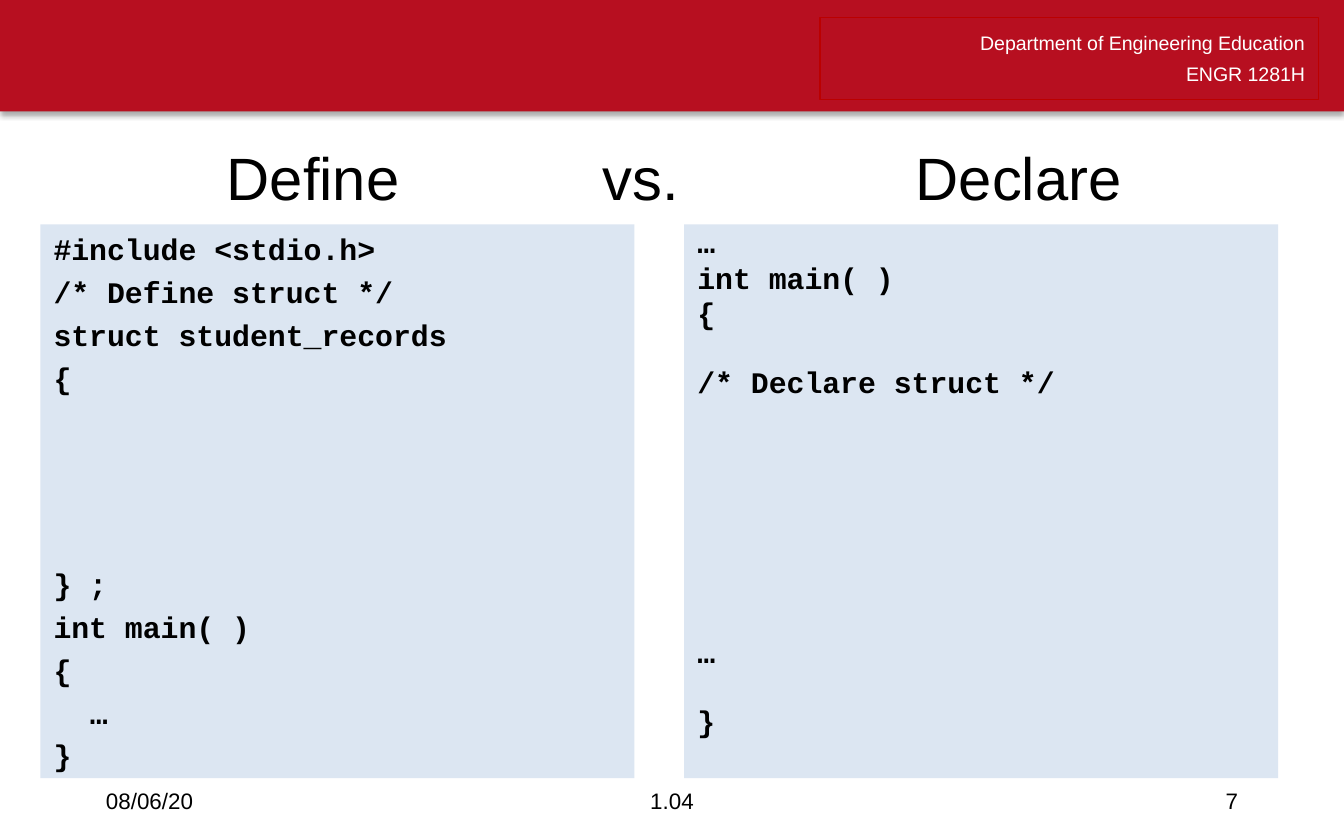
from dataclasses import dataclass

from lxml import etree
from pptx import Presentation
from pptx.dml.color import RGBColor
from pptx.enum.shapes import MSO_SHAPE
from pptx.enum.text import MSO_ANCHOR, MSO_AUTO_SIZE, PP_ALIGN
from pptx.oxml.ns import qn
from pptx.util import Inches, Pt

RECTANGLE = MSO_SHAPE.RECTANGLE
TOP, MIDDLE = MSO_ANCHOR.TOP, MSO_ANCHOR.MIDDLE
LEFT, CENTER, RIGHT = PP_ALIGN.LEFT, PP_ALIGN.CENTER, PP_ALIGN.RIGHT
NO_AUTOFIT = MSO_AUTO_SIZE.NONE
TITLE_ONLY = 5


@dataclass(frozen=True)
class Theme:
    """Colours, fonts and type sizes of the deck."""
    band: RGBColor = RGBColor(0xB7, 0x0F, 0x20)
    frame: RGBColor = RGBColor(0xBB, 0x00, 0x00)
    panel: RGBColor = RGBColor(0xDC, 0xE6, 0xF2)
    ink: RGBColor = RGBColor(0, 0, 0)
    light: RGBColor = RGBColor(0xFF, 0xFF, 0xFF)
    sans: str = "Arial"
    mono: str = "Courier New"
    title: float = 32
    code: float = 16
    footer: float = 12
    header: float = 10.5


THEME = Theme()

DEFINE_CODE = [
    ("#include <stdio.h>", 0, 0),
    ("/* Define struct */", 0, 0),
    ("struct student_records", 0, 0),
    ("{", 0, 0),
    ("} ;", 4, 0),
    ("int main( )", 0, 0),
    ("{", 0, 0),
    ("…", 0, 0.27),
    ("}", 0, 0),
]
DECLARE_CODE = [
    ("…", 0, 0),
    ("int main( )", 0, 0),
    ("{", 0, 0),
    ("/* Declare struct */", 1, 0),
    ("…", 7, 0),
    ("}", 1, 0),
]


def style_text(para, size, color, font=THEME.sans, bold=False):
    """Format every run of a paragraph."""
    for span in para.runs:
        span.font.size = Pt(size)
        span.font.name = font
        span.font.bold = bold
        span.font.color.rgb = color


def prepare_frame(frame, anchor):
    """Make a text frame wrap at a fixed size."""
    frame.word_wrap = True
    frame.auto_size = NO_AUTOFIT
    frame.vertical_anchor = anchor


def add_shadow(shape):
    """Give a shape a soft shadow falling straight down."""
    effects = shape._element.spPr.find(qn("a:effectLst"))
    shadow = etree.SubElement(
        effects, qn("a:outerShdw"), blurRad=str(Pt(3.1)), dist=str(Pt(1.8)),
        dir="5400000", algn="t", rotWithShape="0")
    color = etree.SubElement(shadow, qn("a:srgbClr"), val=str(THEME.ink))
    etree.SubElement(color, qn("a:alpha"), val="35000")


def add_header(page, left, top, width, height):
    """Draw the red band with the framed department lines."""
    band = page.shapes.add_shape(
        RECTANGLE, Inches(left), Inches(top), Inches(width), Inches(height))
    band.shadow.inherit = False
    band.fill.solid()
    band.fill.fore_color.rgb = THEME.band
    band.line.fill.background()
    add_shadow(band)

    box = page.shapes.add_textbox(
        Inches(left + width - 3.9), Inches(top + 0.13), Inches(3.71), Inches(0.61))
    box.line.color.rgb = THEME.frame
    box.line.width = Pt(0.75)
    prepare_frame(box.text_frame, TOP)
    box.text_frame.text = "Department of Engineering Education\nENGR 1281H"
    for para in box.text_frame.paragraphs:
        para.alignment = RIGHT
        para.line_spacing = Pt(16.4)
        style_text(para, THEME.header, THEME.light)


def place_title(page, left, top, width, height):
    """Set the title on three centred tab stops."""
    title = page.shapes.title
    title.left, title.top = Inches(left), Inches(top)
    title.width, title.height = Inches(width), Inches(height)
    prepare_frame(title.text_frame, MIDDLE)
    para = title.text_frame.paragraphs[0]
    para.text = "\tDefine\tvs. \tDeclare"
    para.alignment = LEFT
    style_text(para, THEME.title, THEME.ink)
    stops = etree.SubElement(para._p.get_or_add_pPr(), qn("a:tabLst"))
    for position in (1.75, 4.25, 7):
        etree.SubElement(stops, qn("a:tab"), pos=str(Inches(position)), algn="ctr")


def add_code_panel(page, left, top, width, height, lines, spacing, before, pitch):
    """Draw a code panel; each line has its text, skipped lines and indent."""
    panel = page.shapes.add_textbox(
        Inches(left), Inches(top), Inches(width), Inches(height))
    panel.fill.solid()
    panel.fill.fore_color.rgb = THEME.panel
    frame = panel.text_frame
    prepare_frame(frame, TOP)
    frame.text = "\n".join(text for text, skipped, indent in lines)
    for para, (text, skipped, indent) in zip(frame.paragraphs, lines):
        para.alignment = LEFT
        para.line_spacing = spacing
        para.space_before = Pt(before + skipped * pitch)
        para._p.get_or_add_pPr().set("marL", str(Inches(indent)))
        style_text(para, THEME.code, THEME.ink, THEME.mono, True)


def add_footer(page, left, top, width, height):
    """Place the date, lecture number and page number in one row."""
    side, middle = 2.25, 3.38
    entries = (
        ("08/06/20", left, side, LEFT),
        ("1.04", left + (width - middle) / 2, middle, CENTER),
        ("7", left + width - side, side, RIGHT),
    )
    for text, start, extent, alignment in entries:
        box = page.shapes.add_textbox(
            Inches(start), Inches(top), Inches(extent), Inches(height))
        prepare_frame(box.text_frame, MIDDLE)
        para = box.text_frame.paragraphs[0]
        para.text = text
        para.alignment = alignment
        style_text(para, THEME.footer, THEME.ink)


def build_deck():
    """Build and save the one-slide deck."""
    deck = Presentation()
    deck.slide_width, deck.slide_height = Inches(10), Inches(6.25)
    page = deck.slides.add_slide(deck.slide_layouts[TITLE_ONLY])
    add_header(page, 0, 0, 10, 0.83)
    place_title(page, 0.48, 0.96, 9.07, 0.71)
    add_code_panel(page, 0.3, 1.67, 4.42, 4.12, DEFINE_CODE, 1.0, 3.75, 21.9)
    add_code_panel(page, 5.09, 1.67, 4.42, 4.12, DECLARE_CODE, 0.8, 3.5, 18)
    add_footer(page, 0.69, 5.79, 8.62, 0.33)
    deck.save("out.pptx")


build_deck()
